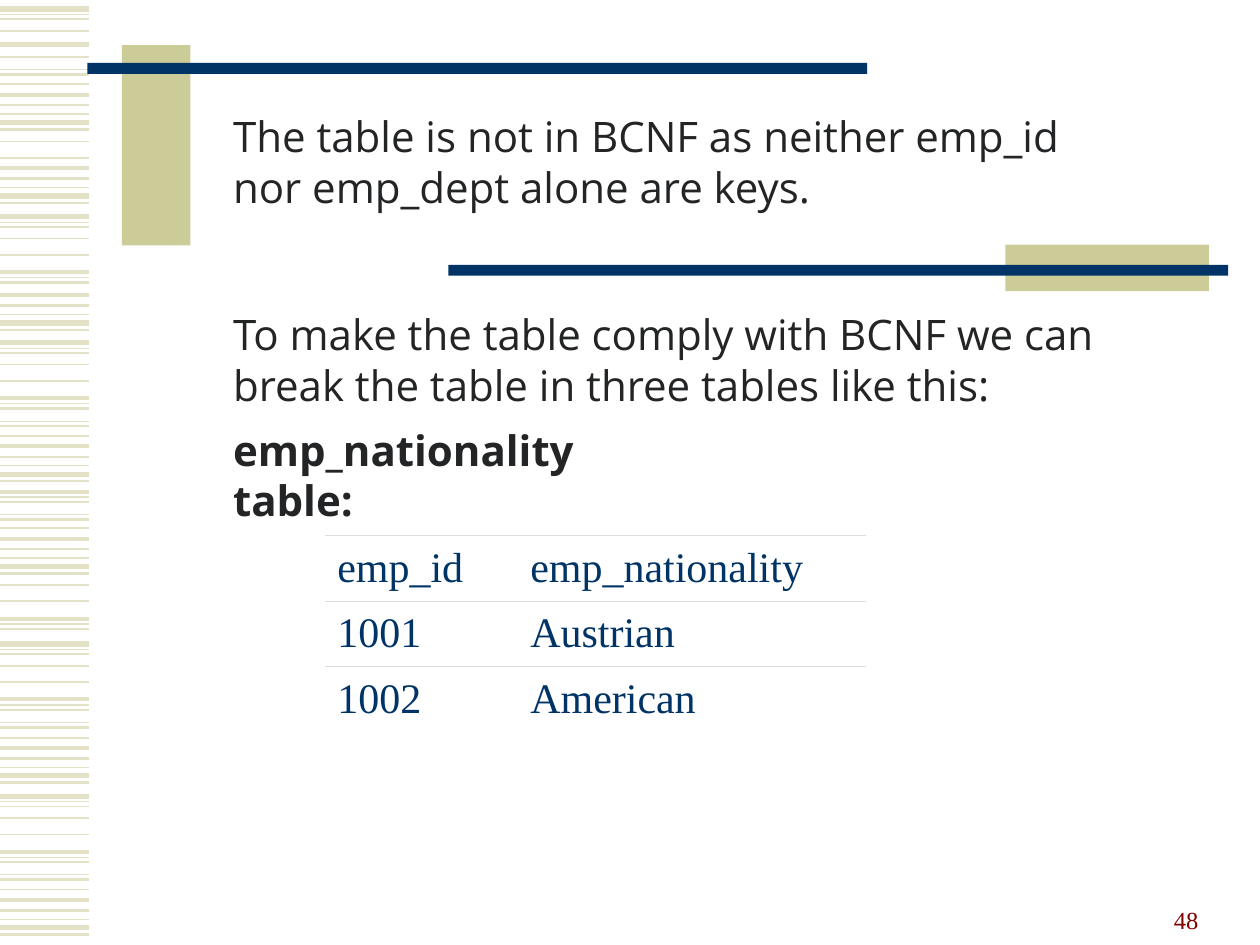
import dataclasses

import lxml.etree
import pptx
import pptx.dml.color
import pptx.enum.shapes
import pptx.enum.text
import pptx.oxml.ns
import pptx.util

Cm = pptx.util.Cm
Pt = pptx.util.Pt


@dataclasses.dataclass(frozen=True)
class Theme:
    stripe: str = "E3E2C7"
    block: str = "CCCC99"
    navy: str = "003366"
    body: str = "222426"
    number: str = "800000"
    rule: str = "DDDDDD"
    paper: str = "FFFFFF"
    sans: str = "Open Sans"
    serif: str = "Times New Roman"
    text_size: int = 24
    number_size: int = 14


theme = Theme()


def color(value):
    return pptx.dml.color.RGBColor.from_string(value)


def write(frame, text, font_name, font_color, size=theme.text_size, bold=False):
    span = frame.paragraphs[0].add_run()
    span.text = text
    font_format = {"name": font_name, "size": Pt(size), "bold": bold}
    for attribute, value in font_format.items():
        setattr(span.font, attribute, value)
    span.font.color.rgb = color(font_color)


deck = pptx.Presentation()
deck.slide_width = Cm(25.4)
deck.slide_height = Cm(19.05)
page = deck.slides.add_slide(deck.slide_layouts[6])

short_motif = [(0, 1), (0.21, 2.25), (0.42, 1.5), (0.6, 0.75), (0.77, 3), (0.91, 1.5)]
long_motif = [
    (0, 3), (0.11, 0.75), (0.21, 1), (0.44, 1), (0.77, 1),
    (1.12, 2.25), (1.23, 0.75), (1.33, 1.5), (1.58, 0.75), (1.68, 1.5),
]
stripe_groups = [
    (17.93, short_motif),
    (16.05, long_motif),
    (14.87, short_motif),
    (12.98, long_motif),
    (11.35, long_motif[3:8]),
    (10.65, short_motif),
    (8.79, long_motif[5:]),
    (8.79, short_motif),
    (6.91, long_motif),
    (5.74, short_motif[1:]),
    (4.37, long_motif[:8]),
    (3.18, short_motif),
    (2.08, long_motif[4:5]),
    (1.7, short_motif),
    (0.89, long_motif[:1]),
    (0.18, long_motif[:4]),
    (-0.18, long_motif[7:]),
]
for start, motif in stripe_groups:
    for offset, weight in motif:
        height = Cm(start + offset)
        stripe = page.shapes.add_connector(
            pptx.enum.shapes.MSO_CONNECTOR.STRAIGHT, Cm(0), height, Cm(1.8), height
        )
        stripe.line.color.rgb = color(theme.stripe)
        stripe.line.width = Pt(weight)
        lxml.etree.SubElement(
            stripe.element.spPr, pptx.oxml.ns.qn("a:effectLst")
        )

bars = [
    (2.46, 0.91, 1.38, 4.04, theme.block),
    (1.76, 1.27, 15.72, 0.22, theme.navy),
    (20.27, 4.93, 4.1, 0.94, theme.block),
    (9.04, 5.34, 15.72, 0.22, theme.navy),
]
for left, top, width, height, fill in bars:
    bar = page.shapes.add_shape(
        pptx.enum.shapes.MSO_SHAPE.RECTANGLE, Cm(left), Cm(top), Cm(width), Cm(height)
    )
    bar.shadow.inherit = False
    bar.fill.solid()
    bar.fill.fore_color.rgb = color(fill)
    bar.line.fill.background()

passages = [
    (2.11, 18.42, 2.31, False,
     "The table is not in BCNF as neither emp_id nor emp_dept alone are keys."),
    (6.1, 18.42, 2.31, False,
     "To make the table comply with BCNF we can break the table in three tables like this:"),
    (8.43, 9.53, 1.27, True, "emp_nationality table:"),
]
for top, width, height, bold, text in passages:
    box = page.shapes.add_textbox(Cm(4.45), Cm(top), Cm(width), Cm(height))
    box.text_frame.word_wrap = True
    write(box.text_frame, text, theme.sans, theme.body, bold=bold)

number_box = page.shapes.add_textbox(Cm(18.31), Cm(17.7), Cm(6.1), Cm(1.27))
number_box.text_frame.word_wrap = True
number_box.text_frame.vertical_anchor = pptx.enum.text.MSO_ANCHOR.BOTTOM
number_box.text_frame.paragraphs[0].alignment = pptx.enum.text.PP_ALIGN.RIGHT
write(number_box.text_frame, "48", theme.serif, theme.number, theme.number_size)

records = [("emp_id", "emp_nationality"), ("1001", "Austrian"), ("1002", "American")]
column_widths = [3.89, 7.01]
table = page.shapes.add_table(
    len(records), len(column_widths), Cm(6.55), Cm(10.8), Cm(10.9), Cm(3.66)
).table
table.first_row = False
table.horz_banding = False
for column, width in zip(table.columns, column_widths):
    column.width = Cm(width)

cell_format = {
    "margin_left": Cm(0.25),
    "margin_right": Cm(0.25),
    "margin_top": Cm(0.15),
    "margin_bottom": Cm(0.15),
    "vertical_anchor": pptx.enum.text.MSO_ANCHOR.MIDDLE,
}
for row_index, record in enumerate(records):
    table.rows[row_index].height = Cm(1.22)
    ruled_sides = {"lnT"} if row_index == len(records) - 1 else {"lnT", "lnB"}
    for column_index, text in enumerate(record):
        cell = table.cell(row_index, column_index)
        for attribute, value in cell_format.items():
            setattr(cell, attribute, value)
        write(cell.text_frame, text, theme.serif, theme.navy)
        cell.fill.solid()
        cell.fill.fore_color.rgb = color(theme.paper)
        properties = cell._tc.get_or_add_tcPr()
        for position, side in enumerate(["lnL", "lnR", "lnT", "lnB"]):
            border = lxml.etree.Element(
                pptx.oxml.ns.qn(f"a:{side}"), w=str(Pt(0.75))
            )
            if side in ruled_sides:
                paint = lxml.etree.SubElement(border, pptx.oxml.ns.qn("a:solidFill"))
                lxml.etree.SubElement(
                    paint, pptx.oxml.ns.qn("a:srgbClr"), val=theme.rule
                )
            else:
                lxml.etree.SubElement(border, pptx.oxml.ns.qn("a:noFill"))
            properties.insert(position, border)

deck.save("out.pptx")
